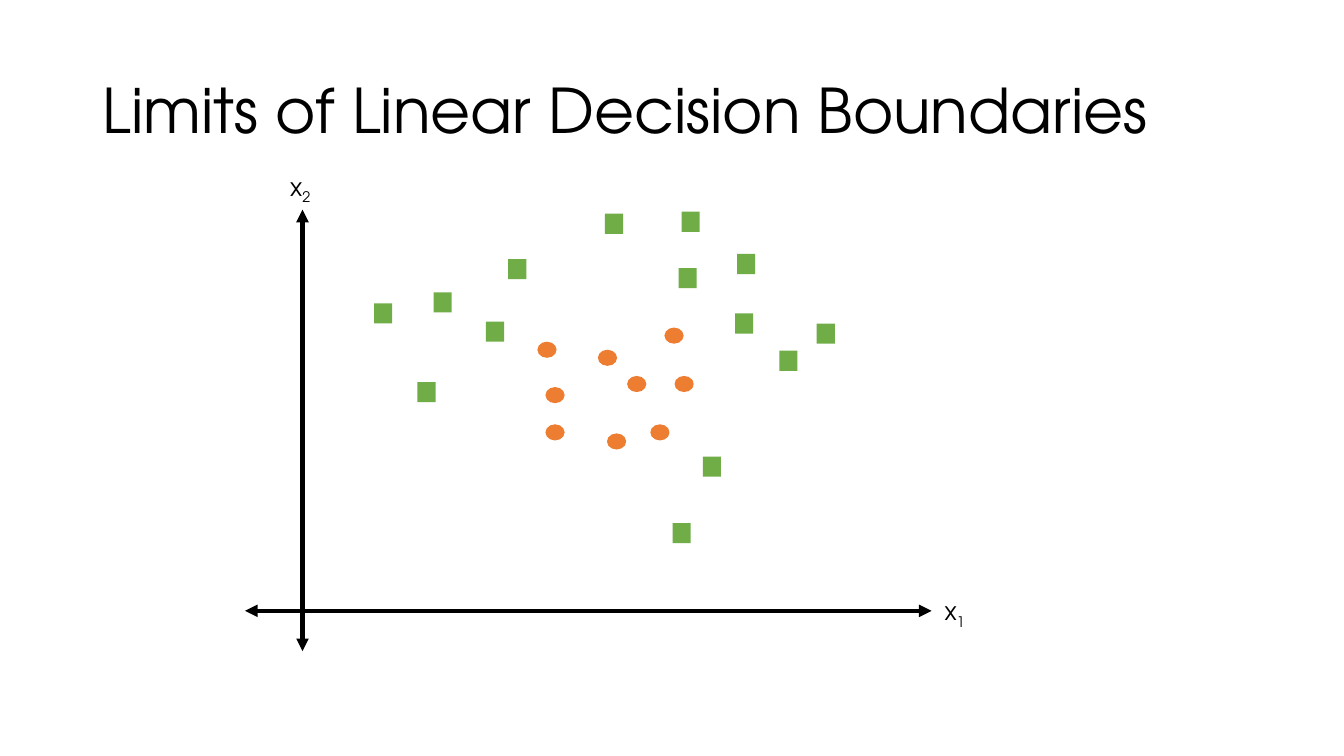
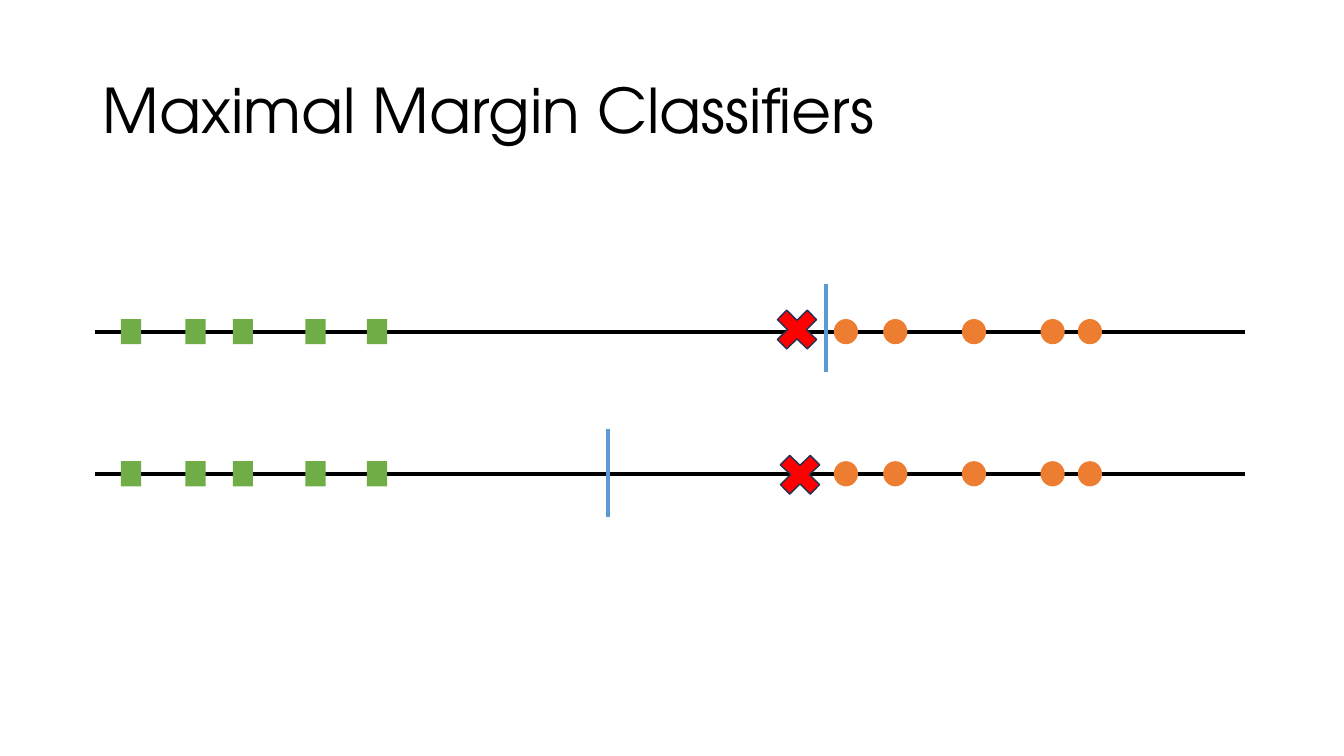
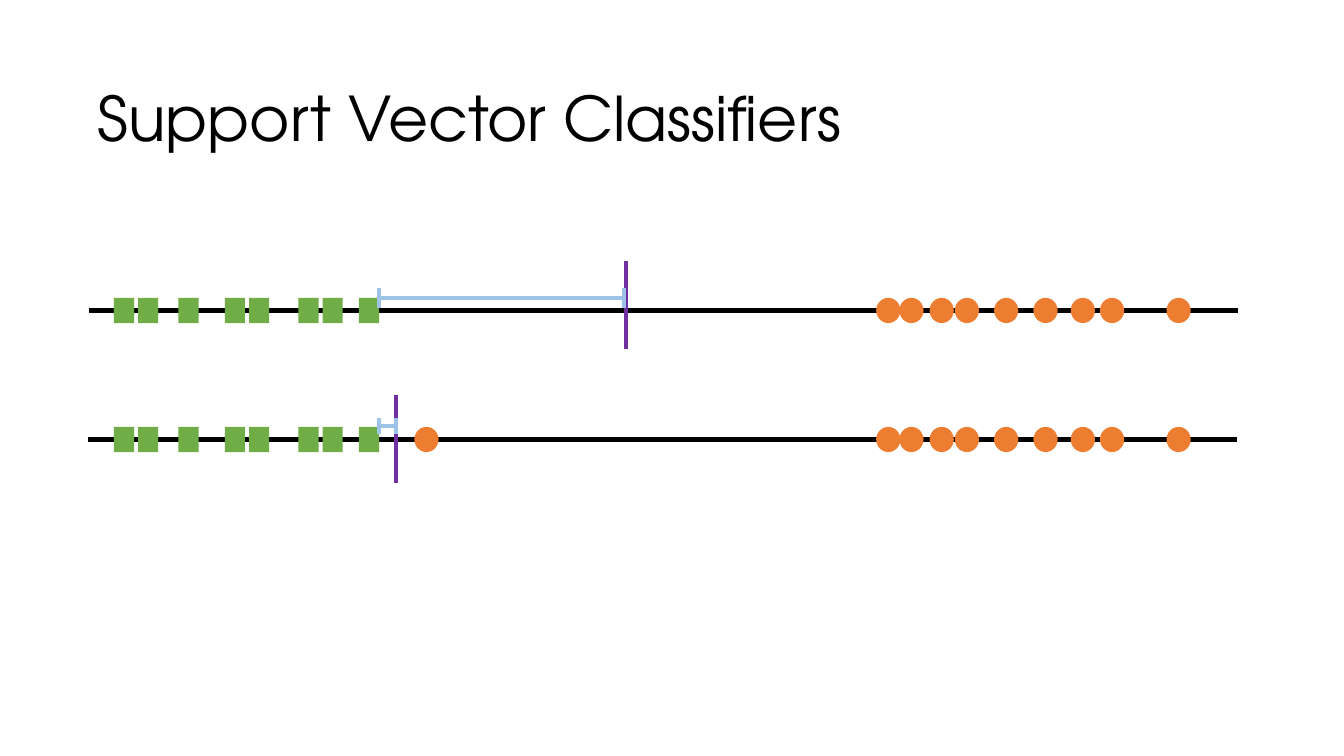
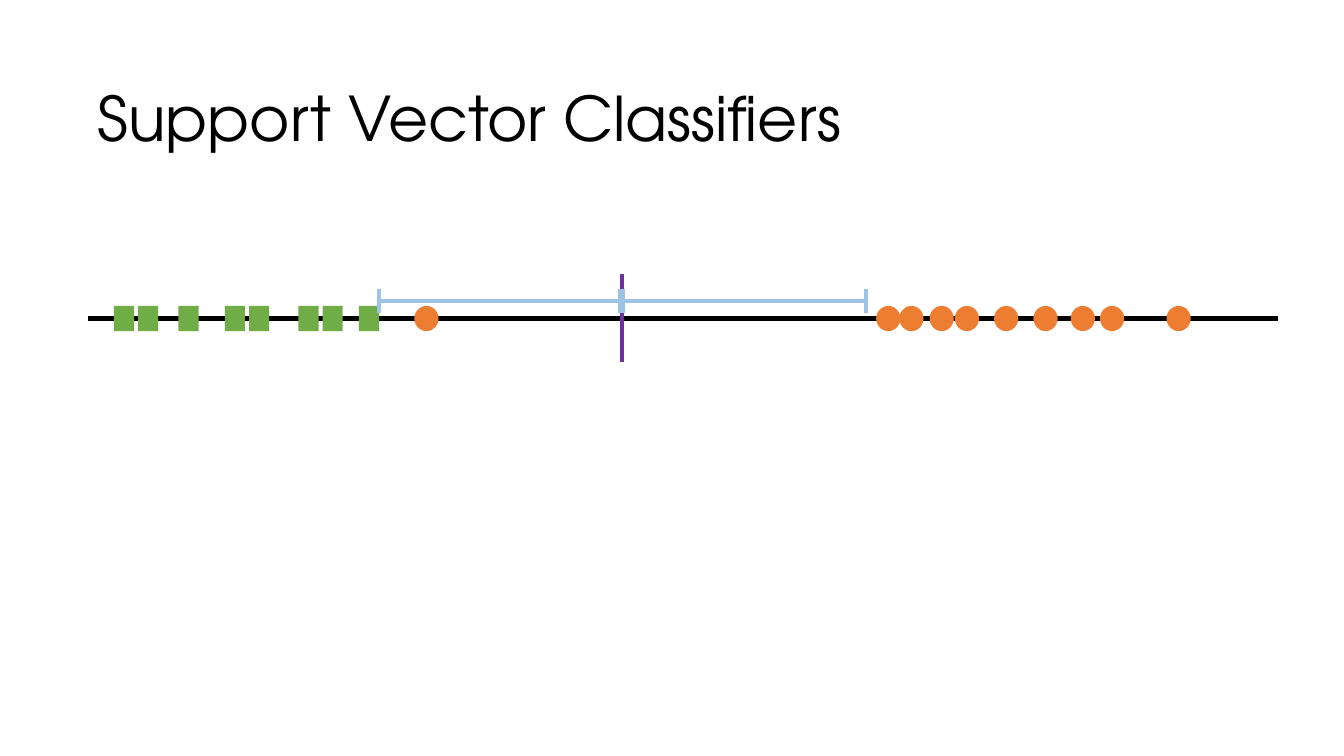
import dataclasses
import typing

import lxml.etree
import pptx
import pptx.dml.color
import pptx.enum.shapes
import pptx.enum.text
import pptx.oxml.ns
import pptx.util

Inches = pptx.util.Inches
Pt = pptx.util.Pt
Shape = pptx.enum.shapes.MSO_SHAPE
qn = pptx.oxml.ns.qn

FONT = "TeX Gyre Adventor"
COLORS = {
    "white": "FFFFFF",
    "black": "000000",
    "orange": "ED7D31",
    "green": "70AD47",
    "blue": "5B9BD5",
    "sky": "9DC3E6",
    "purple": "7030A0",
    "red": "FF0000",
    "navy": "1E3256",
}
LINE = 3  # points


@dataclasses.dataclass(frozen=True)
class Kind:
    form: typing.Any
    color: str
    wide: float
    high: float
    edge: str = ""


@dataclasses.dataclass(frozen=True)
class Box:
    left: float
    top: float
    wide: float
    high: float


@dataclasses.dataclass(frozen=True)
class Row:
    """A number line with its boxes and dots, given by their left edges."""
    left: float
    right: float
    y: float
    boxes: tuple[float, ...]
    dots: tuple[float, ...]


@dataclasses.dataclass(frozen=True)
class Split:
    """An upright line that parts the classes."""
    x: float
    top: float
    color: str
    high: float = 0.87


@dataclasses.dataclass(frozen=True)
class Margin:
    """A flat line with a cap at each end."""
    left: float
    right: float
    y: float
    half: float
    inset: float = 0.02


# Kinds of marks
DOT = Kind(Shape.OVAL, "orange", 0.24, 0.25)
BOX = Kind(Shape.RECTANGLE, "green", 0.2, 0.25)
POINT = Kind(Shape.OVAL, "orange", 0.19, 0.16)
TILE = Kind(Shape.RECTANGLE, "green", 0.18, 0.2)
CROSS = Kind(Shape.MATH_MULTIPLY, "red", 0.57, 0.56, "navy")

# Title places
UPPER = Box(0.92, 0.4, 11.5, 1.45)
LOWER = Box(0.87, 0.4, 11.55, 1.62)

# Scatter data: left and top of each mark
POINTS = ((5.93, 3.47), (5.33, 3.39), (6.45, 4.21), (6.69, 3.73), (6.22, 3.73),
          (5.41, 4.21), (6.02, 4.3), (5.41, 3.84), (6.59, 3.25))
TILES = ((3.71, 3.01), (6.76, 2.1), (6.73, 2.66), (6, 2.12), (8.1, 3.21),
         (4.14, 3.79), (4.82, 3.19), (4.3, 2.9), (5.04, 2.57), (7.29, 3.11),
         (6.67, 5.19), (7.73, 3.48), (6.97, 4.53), (7.31, 2.52))

# Number line data
FEW_BOXES = (1.2, 1.84, 2.31, 3.03, 3.64)
FEW_DOTS = (8.27, 8.76, 9.54, 10.32, 10.69)
BOXES = (1.13, 1.37, 1.77, 2.23, 2.47, 2.96, 3.2, 3.56)
DOTS = (8.69, 8.92, 9.22, 9.47, 9.86, 10.25, 10.62, 10.91, 11.57)
STRAY = 4.11


def paint(color: str) -> pptx.dml.color.RGBColor:
    return pptx.dml.color.RGBColor.from_string(COLORS[color])


def style(run: typing.Any, size: float) -> None:
    run.font.name = FONT
    run.font.size = Pt(size)
    run.font.color.rgb = paint("black")


def start(deck: typing.Any, text: str, box: Box) -> typing.Any:
    """Add a slide with its title and return it."""
    slide = deck.slides.add_slide(deck.slide_layouts[5])
    slide.background.fill.solid()
    slide.background.fill.fore_color.rgb = paint("white")
    title = slide.shapes.title
    title.left, title.top = Inches(box.left), Inches(box.top)
    title.width, title.height = Inches(box.wide), Inches(box.high)
    frame = title.text_frame
    frame.text = text
    frame.auto_size = pptx.enum.text.MSO_AUTO_SIZE.NONE
    frame.vertical_anchor = pptx.enum.text.MSO_ANCHOR.MIDDLE
    para = frame.paragraphs[0]
    para.alignment = pptx.enum.text.PP_ALIGN.LEFT
    para.line_spacing = 0.9
    style(para.runs[0], 44)
    return slide


def draw_line(shapes: typing.Any, x1: float, y1: float, x2: float, y2: float,
              color: str = "black", arrows: bool = False) -> None:
    line = shapes.add_connector(
        pptx.enum.shapes.MSO_CONNECTOR.STRAIGHT,
        Inches(x1), Inches(y1), Inches(x2), Inches(y2))
    line.line.color.rgb = paint(color)
    line.line.width = Pt(LINE)
    props = line._element.spPr
    if arrows:
        for end in ("a:headEnd", "a:tailEnd"):
            lxml.etree.SubElement(props.find(qn("a:ln")), qn(end), type="triangle")
    lxml.etree.SubElement(props, qn("a:effectLst"))


def draw_mark(shapes: typing.Any, kind: Kind, left: float, top: float) -> None:
    mark = shapes.add_shape(kind.form, Inches(left), Inches(top),
                            Inches(kind.wide), Inches(kind.high))
    mark.shadow.inherit = False
    mark.fill.solid()
    mark.fill.fore_color.rgb = paint(kind.color)
    if kind.edge:
        mark.line.color.rgb = paint(kind.edge)
        mark.line.width = Pt(1)
    else:
        mark.line.fill.background()


def draw_label(shapes: typing.Any, index: str, left: float, top: float) -> None:
    """Write the name of an axis, with its index as a subscript."""
    label = shapes.add_textbox(Inches(left), Inches(top), Inches(0.45), Inches(0.4))
    frame = label.text_frame
    frame.word_wrap = False
    frame.auto_size = pptx.enum.text.MSO_AUTO_SIZE.SHAPE_TO_FIT_TEXT
    for text in ("x", index):
        run = frame.paragraphs[0].add_run()
        run.text = text
        style(run, 18)
    run.font._element.set("baseline", "-25000")


def draw_row(shapes: typing.Any, row: Row) -> None:
    draw_line(shapes, row.left, row.y, row.right, row.y)
    for kind, lefts in ((DOT, row.dots), (BOX, row.boxes)):
        for left in lefts:
            draw_mark(shapes, kind, left, row.y - kind.high / 2)


def draw_split(shapes: typing.Any, split: Split) -> None:
    draw_line(shapes, split.x, split.top, split.x, split.top + split.high, split.color)


def draw_margin(shapes: typing.Any, gap: Margin) -> None:
    parts = shapes.add_group_shape().shapes
    draw_line(parts, gap.left, gap.y, gap.right, gap.y, "sky")
    for x in (gap.left, gap.right - gap.inset):
        draw_line(parts, x, gap.y + gap.half, x, gap.y - gap.half, "sky")


def draw_rows(shapes: typing.Any, rows: tuple[Row, ...], splits: tuple[Split, ...],
              gaps: tuple[Margin, ...] = ()) -> None:
    for row in rows:
        draw_row(shapes, row)
    for split in splits:
        draw_split(shapes, split)
    for gap in gaps:
        draw_margin(shapes, gap)


def add_limits(deck: typing.Any) -> None:
    shapes = start(deck, "Limits of Linear Decision Boundaries", UPPER).shapes
    # Axes
    draw_line(shapes, 3, 2.08, 3, 6.46, arrows=True)
    draw_line(shapes, 9.24, 6.06, 2.43, 6.06, arrows=True)
    draw_label(shapes, "1", 9.27, 5.86)
    draw_label(shapes, "2", 2.78, 1.65)
    # Both classes
    for kind, spots in ((POINT, POINTS), (TILE, TILES)):
        for left, top in spots:
            draw_mark(shapes, kind, left, top)


def add_maximal(deck: typing.Any) -> None:
    shapes = start(deck, "Maximal Margin Classifiers", UPPER).shapes
    rows = tuple(Row(0.94, 12.35, y, FEW_BOXES, FEW_DOTS) for y in (3.29, 4.7))
    draw_rows(shapes, rows, (Split(8.19, 2.82, "blue"), Split(6.03, 4.26, "blue")))
    # New point on each row
    for left, top in ((7.62, 2.99), (7.65, 4.43)):
        draw_mark(shapes, CROSS, left, top)


def add_support(deck: typing.Any) -> None:
    shapes = start(deck, "Support Vector Classifiers", LOWER).shapes
    draw_rows(
        shapes,
        (Row(0.88, 12.28, 3.08, BOXES, DOTS),
         Row(0.87, 12.27, 4.36, BOXES, (STRAY, *DOTS))),
        (Split(6.21, 2.59, "purple"), Split(3.93, 3.92, "purple")),
        (Margin(3.76, 6.21, 2.96, 0.1), Margin(3.76, 3.93, 4.23, 0.08, 0)))


def add_soft(deck: typing.Any) -> None:
    shapes = start(deck, "Support Vector Classifiers", LOWER).shapes
    draw_rows(
        shapes,
        (Row(0.87, 12.68, 3.16, BOXES, (STRAY, *DOTS)),),
        (Split(6.17, 2.72, "purple"),),
        (Margin(3.76, 6.17, 2.99, 0.12), Margin(6.18, 8.61, 2.99, 0.12)))


def main() -> None:
    deck = pptx.Presentation()
    deck.slide_width, deck.slide_height = Inches(13.33), Inches(7.5)
    for add in (add_limits, add_maximal, add_support, add_soft):
        add(deck)
    deck.save("out.pptx")


if __name__ == "__main__":
    main()
